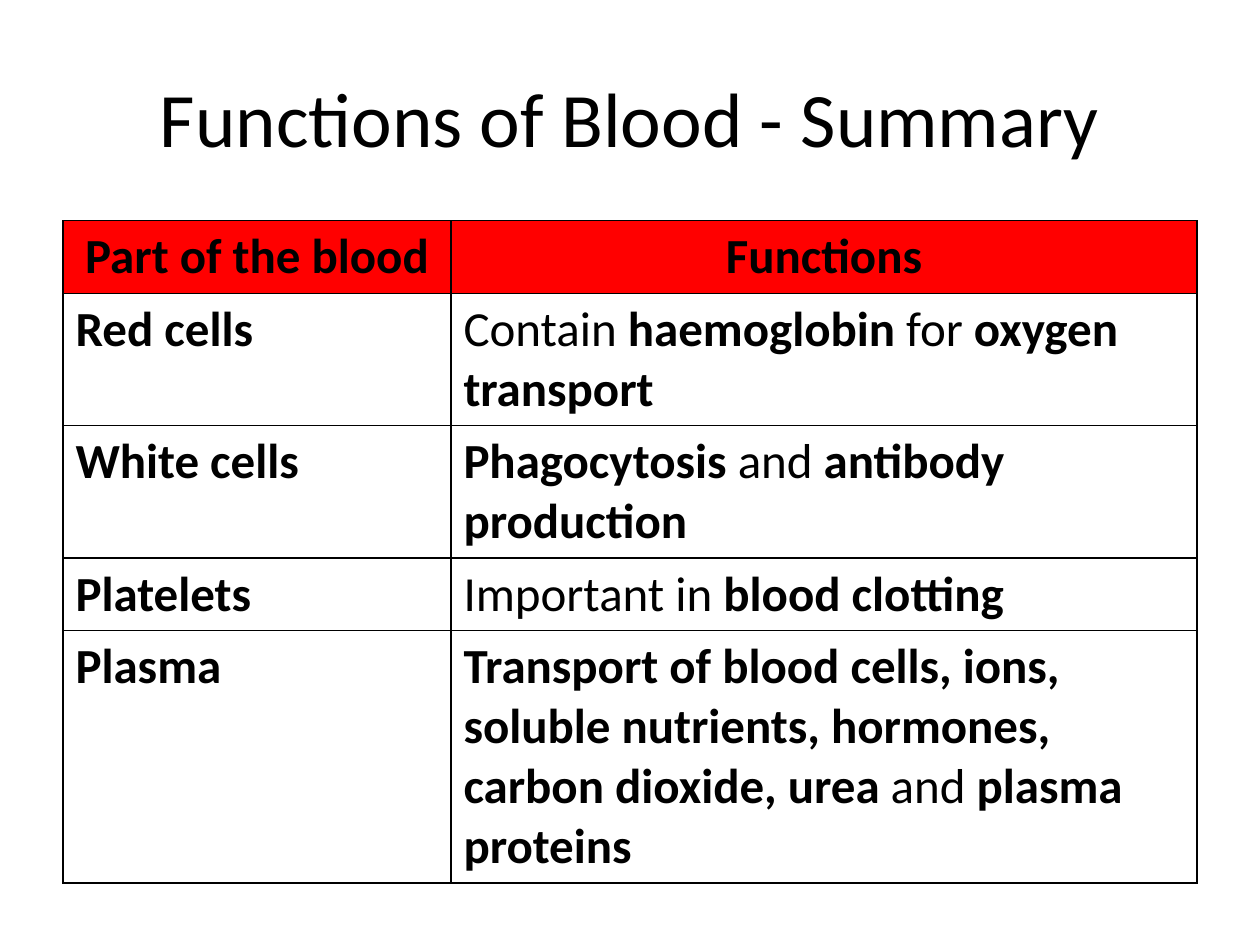
from pptx import Presentation
from pptx import util as u
from pptx.dml import color
from pptx.enum import text
from pptx.oxml import parse_xml
from pptx.oxml.ns import nsdecls


def paint(fmt, hue):
    fmt.solid()
    fmt.fore_color.rgb = color.RGBColor.from_string(hue)


def style(font, size, bold):
    for key, val in {"name": "Calibri", "size": u.Pt(size), "bold": bold}.items():
        setattr(font, key, val)
    paint(font.fill, "000000")


deck = Presentation()
deck.slide_width, deck.slide_height = u.Cm(25.4), u.Cm(19.05)
slide = deck.slides.add_slide(deck.slide_layouts[5])

# Title
title = slide.shapes.title
place = {"left": 1.27, "top": 0.76, "width": 22.86, "height": 3.18}
for key, val in place.items():
    setattr(title, key, u.Cm(val))
title.text_frame.text = "Functions of Blood - Summary"
title.text_frame.vertical_anchor = text.MSO_ANCHOR.MIDDLE
para = title.text_frame.paragraphs[0]
para.alignment = text.PP_ALIGN.CENTER
style(para.runs[0].font, 44, False)

# Table content: height in cm, then cells; asterisks enclose bold words
rows = [
    (1.46, "*Part of the blood*", "*Functions*"),
    (2.67, "*Red cells*", "Contain *haemoglobin* for *oxygen transport*"),
    (2.67, "*White cells*", "*Phagocytosis* and *antibody production*"),
    (1.46, "*Platelets*", "Important in *blood clotting*"),
    (5.08, "*Plasma*", "*Transport of blood cells, ions, soluble nutrients, "
                       "hormones, carbon dioxide, urea *and *plasma proteins*"),
]
table = slide.shapes.add_table(
    len(rows), 2, u.Cm(1.27), u.Cm(4.45), u.Cm(22.86), u.Cm(13.34)).table
table.horz_banding = False
for col, width in zip(table.columns, (7.82, 15.04)):
    col.width = u.Cm(width)

# Cells
for r, (height, *words) in enumerate(rows):
    table.rows[r].height = u.Cm(height)
    for c, word in enumerate(words):
        cell = table.cell(r, c)
        para = cell.text_frame.paragraphs[0]
        para.alignment = text.PP_ALIGN.LEFT if r else text.PP_ALIGN.CENTER
        for i, part in enumerate(word.split("*")):
            if part:
                run = para.add_run()
                run.text = part
                style(run.font, 28, i % 2 == 1)

        # Borders come before the fill in the cell properties
        props = cell._tc.get_or_add_tcPr()
        for side in ("lnL", "lnR", "lnT", "lnB"):
            props.append(parse_xml(
                f'<a:{side} {nsdecls("a")} w="12700"><a:solidFill>'
                f'<a:srgbClr val="000000"/></a:solidFill></a:{side}>'))
        if r:
            cell.fill.background()
        else:
            paint(cell.fill, "FF0000")

deck.save("out.pptx")
